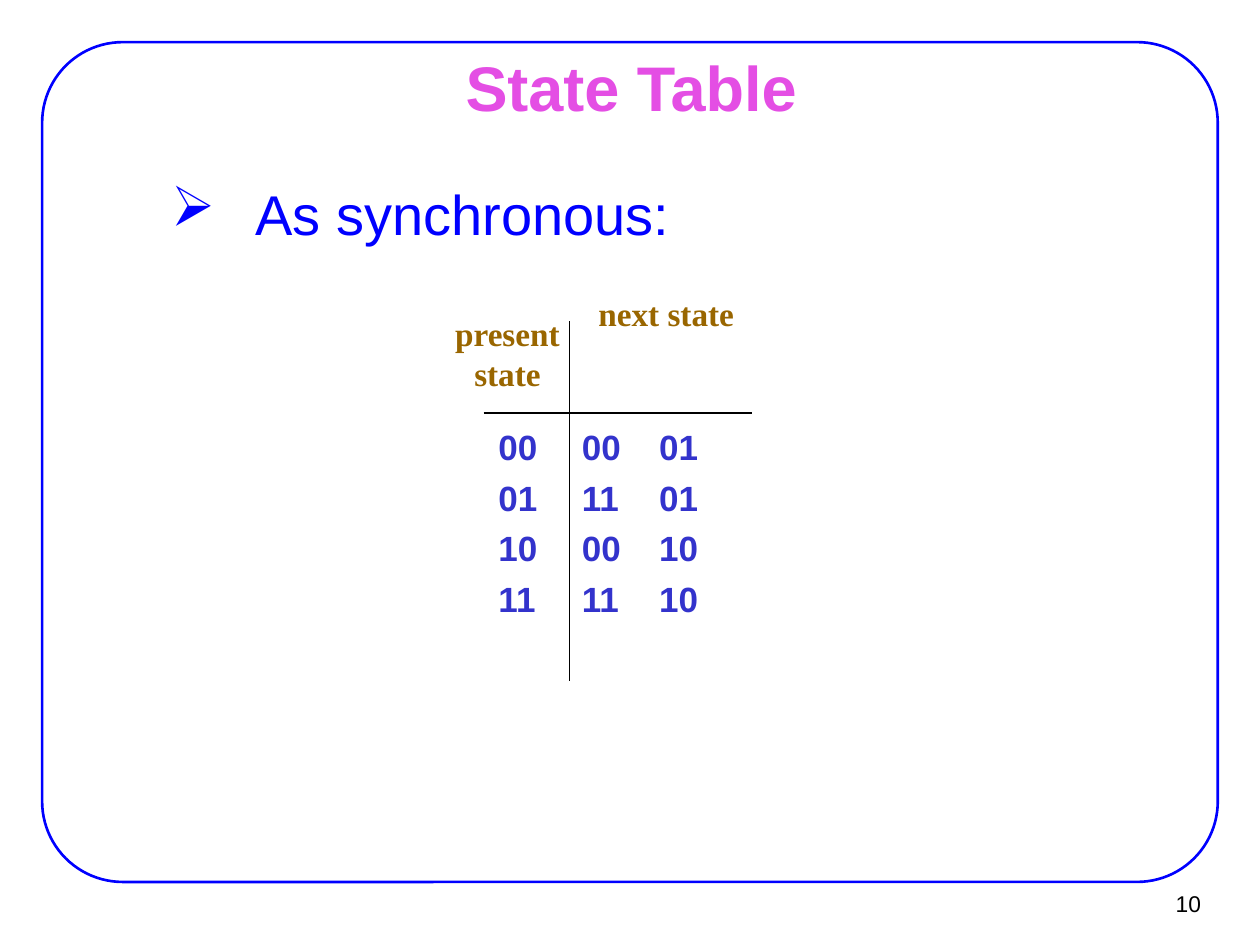
from pptx import Presentation
from pptx.dml.color import RGBColor
from pptx.enum.shapes import MSO_CONNECTOR, MSO_SHAPE
from pptx.enum.text import MSO_ANCHOR, PP_ALIGN
from pptx.oxml.ns import qn
from pptx.util import Cm, Pt
from lxml.etree import SubElement

BLUE = RGBColor(0x00, 0x00, 0xFF)
PINK = RGBColor(0xE4, 0x4E, 0xE4)
INDIGO = RGBColor(0x33, 0x33, 0xCC)
BROWN = RGBColor(0x99, 0x66, 0x00)
BLACK = RGBColor(0x00, 0x00, 0x00)

prs = Presentation()
prs.slide_width, prs.slide_height = Cm(25.4), Cm(19.05)
s = prs.slides.add_slide(prs.slide_layouts[6])


def add_text(lines, box, size, color, bold=False, font="Arial",
             align=PP_ALIGN.LEFT, anchor=MSO_ANCHOR.TOP, tab=None, bullet=None):
    """Add one paragraph per line; tab is a stop in cm, box is in cm."""
    tf = s.shapes.add_textbox(*map(Cm, box)).text_frame
    tf.word_wrap = True
    tf.vertical_anchor = anchor
    tf.text = "\n".join(lines)
    for i, p in enumerate(tf.paragraphs):
        pPr = p._p.get_or_add_pPr()
        if bullet:
            pPr.set("marL", str(Cm(2.97)))
            pPr.set("indent", str(Cm(-1.7)))
            SubElement(pPr, qn("a:buChar"), char=bullet)
        if tab:
            tabs = SubElement(pPr, qn("a:tabLst"))
            SubElement(tabs, qn("a:tab"), pos=str(Cm(tab)), algn="l")
        p.alignment = align
        if i:
            p.space_before = Pt(5)
        for r in p.runs:
            r.font.name = font
            r.font.size = Pt(size)
            r.font.bold = bold
            r.font.color.rgb = color


frame = s.shapes.add_shape(MSO_SHAPE.ROUNDED_RECTANGLE,
                           Cm(0.85), Cm(0.85), Cm(23.7), Cm(16.93))
frame.adjustments[0] = 0.096
frame.shadow.inherit = False
frame.fill.background()
frame.line.color.rgb = BLUE
frame.line.width = Pt(1.5)

add_text(["10"], (22.91, 17.75, 1.55, 0.94), 13, BLACK,
         align=PP_ALIGN.RIGHT, anchor=MSO_ANCHOR.MIDDLE)
add_text(["State Table"], (1.93, 1.12, 21.59, 1.24), 36, PINK, bold=True,
         align=PP_ALIGN.CENTER, anchor=MSO_ANCHOR.MIDDLE)
add_text(["As synchronous:"], (1.93, 3.5, 21.59, 1.73), 32, BLUE, bullet="➢")

# State table: present states left of the rule, next states right of it
add_text(["00\t01", "11\t01", "00\t10", "11\t10"],
         (11.48, 8.45, 3.81, 5.36), 20, INDIGO, bold=True, tab=1.56)
add_text(["00", "01", "10", "11"],
         (9.8, 8.45, 1.7, 5.36), 20, INDIGO, bold=True)

for ends in [(9.75, 8.33, 15.16, 8.33), (11.48, 6.48, 11.48, 13.72)]:
    rule = s.shapes.add_connector(MSO_CONNECTOR.STRAIGHT, *map(Cm, ends))
    rule.line.color.rgb = BLACK
    rule.line.width = Pt(1)
    SubElement(rule._element.spPr, qn("a:effectLst"))

for heading, left, top in [("present state", 8.53, 6.2), ("next state", 11.73, 5.79)]:
    add_text([heading], (left, top, 3.4, 1.85), 19, BROWN, bold=True,
             font="Times New Roman", align=PP_ALIGN.CENTER)

prs.save("out.pptx")
